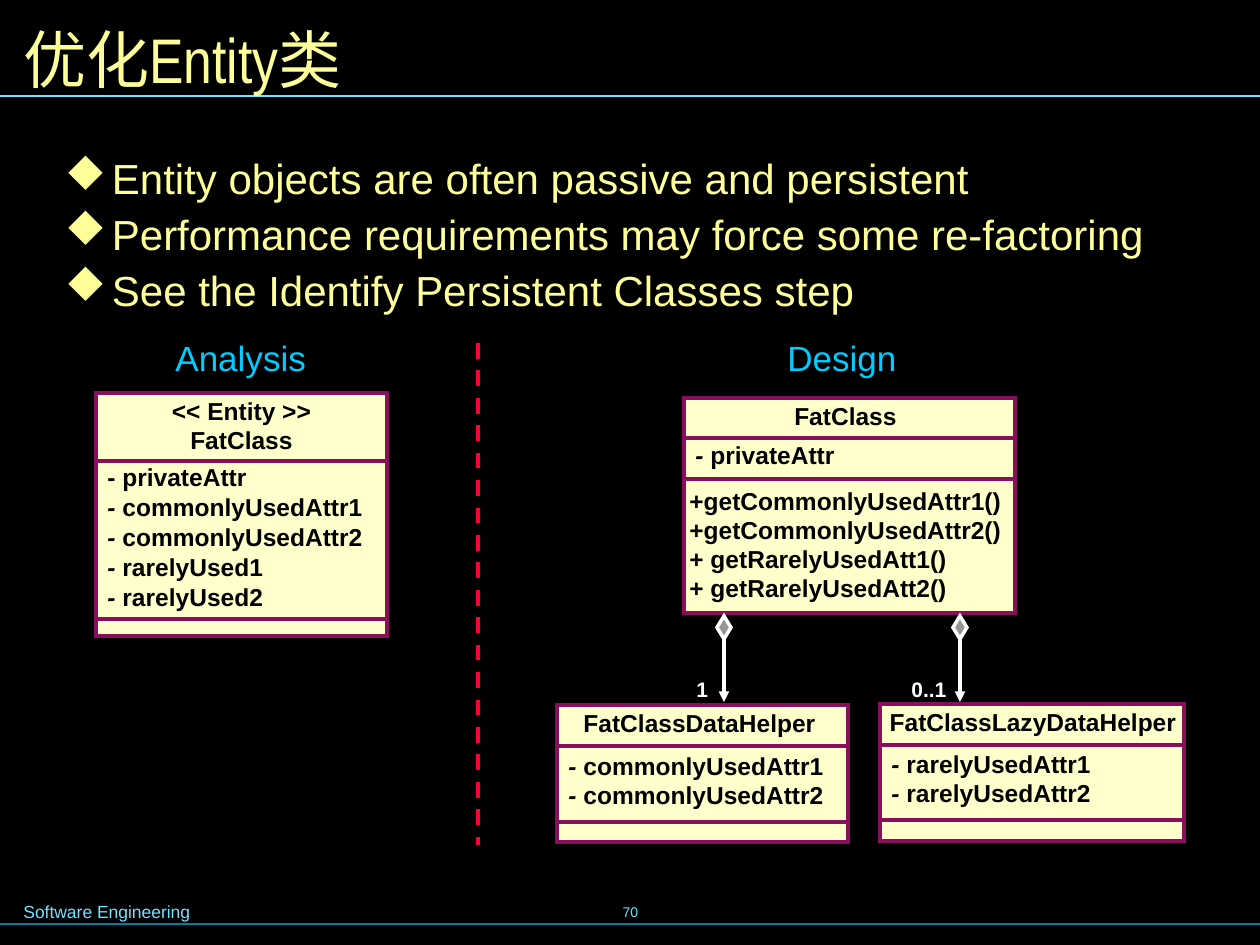
from dataclasses import dataclass

from lxml import etree
from pptx import Presentation
from pptx import util as u
from pptx.dml.color import RGBColor
from pptx.enum import dml, shapes, text
from pptx.oxml.ns import qn

LEFT, CENTER = text.PP_ALIGN.LEFT, text.PP_ALIGN.CENTER
TOP, MIDDLE = text.MSO_ANCHOR.TOP, text.MSO_ANCHOR.MIDDLE


@dataclass(frozen=True)
class Theme:
    """Colours, fonts and type sizes of the slide."""
    background: str = "000000"
    heading: str = "FFFF99"
    footer: str = "73E1FF"
    footer_rule: str = "007E9F"
    phase: str = "00CCFF"
    class_fill: str = "FFFFCC"
    class_line: str = "8A0E5E"
    class_text: str = "000000"
    link: str = "FFFFFF"
    diamond: str = "969696"
    separator: str = "FF0033"
    font: str = "Arial"
    title_font: str = "Arial Narrow"
    bullet_font: str = "Wingdings"
    title_size: int = 36
    body_size: int = 24
    phase_size: int = 20
    class_size: int = 14
    link_size: int = 12
    footer_size: int = 10
    number_size: int = 8


THEME = Theme()


def px(length):
    """Turn pixels into EMU at 126 pixels to the inch."""
    return u.Emu(round(length * 914400 / 126))


def rgb(value):
    """Turn a hex string into a colour."""
    return RGBColor.from_string(value)


def plain(words):
    """Return one upright span."""
    return [(words, False)]


def dashed(name):
    """Return a slanted dash followed by an upright name."""
    return [("- ", True), (name, False)]


def add_spans(paragraph, spans, size, color, bold=False, font=THEME.font):
    """Add styled runs to a paragraph."""
    for words, italic in spans:
        run = paragraph.add_run()
        run.text = words
        run.font.name, run.font.size = font, u.Pt(size)
        run.font.bold, run.font.italic = bold, italic
        run.font.color.rgb = rgb(color)


def add_frame(slide, box, anchor=TOP):
    """Add an empty text box and return its text frame."""
    frame = slide.shapes.add_textbox(*map(px, box)).text_frame
    frame.word_wrap, frame.vertical_anchor = True, anchor
    return frame


def add_label(slide, box, spans, size, color, bold=False, align=LEFT,
              anchor=TOP, font=THEME.font):
    """Add a single line of text."""
    paragraph = add_frame(slide, box, anchor).paragraphs[0]
    paragraph.alignment = align
    add_spans(paragraph, spans, size, color, bold, font)


def add_bullets(slide, box, points):
    """Add the bulleted list."""
    frame = add_frame(slide, box)
    frame.margin_left = frame.margin_right = px(15)
    frame.margin_top = frame.margin_bottom = px(8)
    for index, point in enumerate(points):
        paragraph = frame.add_paragraph() if index else frame.paragraphs[0]
        if index:
            paragraph.space_before = u.Pt(3)
        properties = paragraph._p.get_or_add_pPr()
        properties.set("marL", str(px(47)))
        properties.set("indent", str(-px(47)))
        tint = etree.SubElement(properties, qn("a:buClr"))
        etree.SubElement(tint, qn("a:srgbClr")).set("val", THEME.heading)
        marker = etree.SubElement(properties, qn("a:buFont"))
        marker.set("typeface", THEME.bullet_font)
        marker.set("charset", "2")
        etree.SubElement(properties, qn("a:buChar")).set("char", "u")
        add_spans(paragraph, plain(point), THEME.body_size, THEME.heading)


def add_line(slide, start, end, color, width, dash=None, arrow=False):
    """Add a straight line, dashed or with an arrowhead if wanted."""
    line = slide.shapes.add_connector(
        shapes.MSO_CONNECTOR.STRAIGHT, *map(px, (*start, *end)))
    line.line.color.rgb, line.line.width = rgb(color), u.Pt(width)
    if dash:
        line.line.dash_style = dash
    if arrow:
        etree.SubElement(line.line._get_or_add_ln(), qn("a:tailEnd")).set("type", "triangle")
    etree.SubElement(line._element.spPr, qn("a:effectLst"))


def add_solid(slide, kind, box, fill, line):
    """Add a filled preset shape with a sharp-cornered outline."""
    solid = slide.shapes.add_shape(kind, *map(px, box))
    solid.shadow.inherit = False
    solid.fill.solid()
    solid.fill.fore_color.rgb = rgb(fill)
    solid.line.color.rgb, solid.line.width = rgb(line), u.Pt(2)
    etree.SubElement(solid.line._get_or_add_ln(), qn("a:miter")).set("lim", "800000")


def add_class(slide, box, dividers, titles, title_shift, sections):
    """Add a class box with its dividers, titles and member sections."""
    left, top, width, _ = box
    add_solid(slide, shapes.MSO_SHAPE.RECTANGLE, box, THEME.class_fill, THEME.class_line)
    for y in dividers:
        add_line(slide, (left, y), (left + width, y), THEME.class_line, 2)
    style = (THEME.class_size, THEME.class_text, True)
    for row, title in enumerate(titles):
        add_label(slide, (left - 8 + title_shift, top - 3 + 29 * row, width + 16, 42),
                  plain(title), *style, align=CENTER)
    for shift, first, step, members in sections:
        for row, member in enumerate(members):
            add_label(slide, (left + shift, first + step * row, width + 28, 42), member, *style)


def add_aggregation(slide, x, end, multiplicity, label_box):
    """Add an aggregation arrow with its diamond and multiplicity."""
    add_line(slide, (x, 628), (x, end), THEME.link, 2, arrow=True)
    add_solid(slide, shapes.MSO_SHAPE.DIAMOND, (x - 7, 616, 14, 23), THEME.diamond, THEME.link)
    add_label(slide, label_box, plain(multiplicity), THEME.link_size, THEME.link, bold=True)


def add_furniture(slide):
    """Add the title, the rules and the footer."""
    add_line(slide, (0, 924), (1260, 924), THEME.footer_rule, 0.75)
    add_line(slide, (0, 96), (1260, 96), THEME.footer, 0.75)
    add_label(slide, (431, 880, 399, 63), plain("70"), THEME.number_size, THEME.footer,
              align=CENTER, anchor=MIDDLE)
    add_label(slide, (11, 895, 372, 34), plain("Software Engineering"),
              THEME.footer_size, THEME.footer)
    add_label(slide, (11, 11, 1240, 94), plain("优化Entity类"), THEME.title_size,
              THEME.heading, anchor=MIDDLE, font=THEME.title_font)


def main():
    """Build and save the slide."""
    deck = Presentation()
    deck.slide_width, deck.slide_height = px(1260), px(945)
    slide = deck.slides.add_slide(deck.slide_layouts[6])
    slide.background.fill.solid()
    slide.background.fill.fore_color.rgb = rgb(THEME.background)

    add_furniture(slide)
    add_bullets(slide, (50, 145, 1171, 696), [
        "Entity objects are often passive and persistent",
        "Performance requirements may force some re-factoring",
        "See the Identify Persistent Classes step",
    ])
    for phase, left in (("Analysis", 163), ("Design", 775)):
        add_label(slide, (left, 330, 180, 55), plain(phase), THEME.phase_size, THEME.phase)
    add_line(slide, (478, 343), (478, 845), THEME.separator, 2.25, dash=dml.MSO_LINE.DASH)

    common = [dashed(f"commonlyUsedAttr{n}") for n in (1, 2)]
    rare = [dashed(f"rarelyUsed{n}") for n in (1, 2)]
    rare_attrs = [dashed(f"rarelyUsedAttr{n}") for n in (1, 2)]
    getters = [plain(f"{name}{n}()") for name in ("+getCommonlyUsedAttr", "+ getRarelyUsedAtt")
               for n in (1, 2)]
    add_class(slide, (96, 393, 291, 243), (461, 619), ["<< Entity >>", "FatClass"], 0,
              [(-1, 456, 30, [plain("- privateAttr"), *common, *rare])])
    add_class(slide, (684, 398, 331, 215), (438, 479), ["FatClass"], -4,
              [(-1, 434, 29, [dashed("privateAttr")]), (-7, 480, 29, getters)])
    add_class(slide, (557, 705, 291, 137), (746, 822), ["FatClassDataHelper"], -3,
              [(-1, 745, 29, common)])
    add_class(slide, (880, 704, 304, 137), (745, 820), ["FatClassLazyDataHelper"], 1,
              [(-1, 743, 29, rare_attrs)])
    add_aggregation(slide, 724, 702, "1", (684, 670, 50, 38))
    add_aggregation(slide, 960, 702, "0..1", (899, 670, 75, 38))

    deck.save("out.pptx")


if __name__ == "__main__":
    main()
